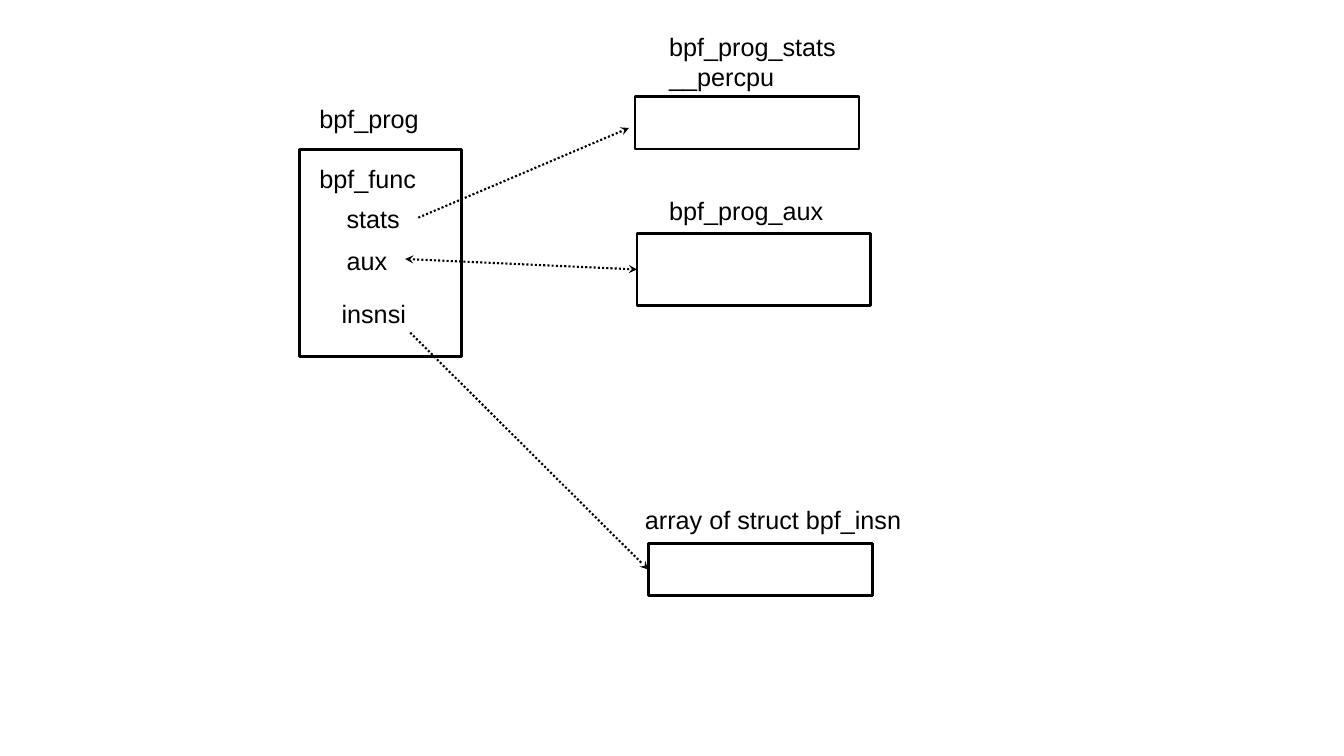
"""Draw the bpf_prog structure and the objects its fields point to."""
from lxml.etree import SubElement
from pptx import Presentation
from pptx.dml.color import RGBColor
from pptx.enum.dml import MSO_LINE
from pptx.enum.shapes import MSO_CONNECTOR, MSO_SHAPE
from pptx.oxml.ns import qn
from pptx.util import Pt

INK = "000000"
FONT = {"name": "Arial", "size": Pt(18)}
LINE_HEIGHT = 21.6
INSET = 3.6

STRUCTS = [
    (213.8, 106.6, 116, 148.3),
    (453.6, 69.1, 160, 37.4),
    (455, 167, 167, 51.1),
    (463, 388.1, 160, 37.4),
]
LABELS = [
    (221, 70.6, 101.5, ["bpf_prog"]),
    (470.9, 18.7, 141.8, ["bpf_prog_stats", "__percpu"]),
    (470.9, 136.1, 141.8, ["bpf_prog_aux"]),
    (453.6, 356.4, 231, ["array of struct bpf_insn"]),
    (221, 113, 101.5, ["bpf_func"]),
    (240.5, 141.8, 101.5, ["stats"]),
    (240.5, 171.4, 101.5, ["aux"]),
    (236.9, 209.5, 101.5, ["insnsi"]),
]
POINTERS = [
    ((298.8, 155.5), (449.3, 91.4), ["tailEnd"]),
    ((289.4, 185), (455, 192.5), ["headEnd", "tailEnd"]),
    ((293, 237.6), (463, 406.8), ["tailEnd"]),
]


def color(value):
    return RGBColor.from_string(value)


def apply(target, values):
    for name, value in values.items():
        setattr(target, name, value)


def points(*lengths):
    return [Pt(length) for length in lengths]


def add_struct(page, bounds):
    box = page.shapes.add_shape(MSO_SHAPE.RECTANGLE, *points(*bounds))
    box.shadow.inherit = False
    box.fill.background()
    box.line.color.rgb = color(INK)
    box.line.width = Pt(2)


def add_label(page, left, top, width, lines):
    height = len(lines) * LINE_HEIGHT + 2 * INSET
    box = page.shapes.add_textbox(*points(left, top, width, height))
    frame = box.text_frame
    frame.word_wrap = True
    frame.text = "\n".join(lines)
    for para in frame.paragraphs:
        for span in para.runs:
            apply(span.font, FONT)
            span.font.color.rgb = color(INK)


def add_pointer(page, start, end, heads):
    pointer = page.shapes.add_connector(MSO_CONNECTOR.STRAIGHT, *points(*start, *end))
    pointer.line.color.rgb = color(INK)
    apply(pointer.line, {"width": Pt(1.5), "dash_style": MSO_LINE.ROUND_DOT})
    properties = pointer._element.spPr
    outline = properties.find(qn("a:ln"))
    for head in heads:
        SubElement(outline, qn(f"a:{head}"), type="stealth", w="med", len="med")
    SubElement(properties, qn("a:effectLst"))


deck = Presentation()
apply(deck, {"slide_width": Pt(960), "slide_height": Pt(540)})
page = deck.slides.add_slide(deck.slide_layouts[6])
for bounds in STRUCTS:
    add_struct(page, bounds)
for label in LABELS:
    add_label(page, *label)
for pointer in POINTERS:
    add_pointer(page, *pointer)
deck.save("out.pptx")
